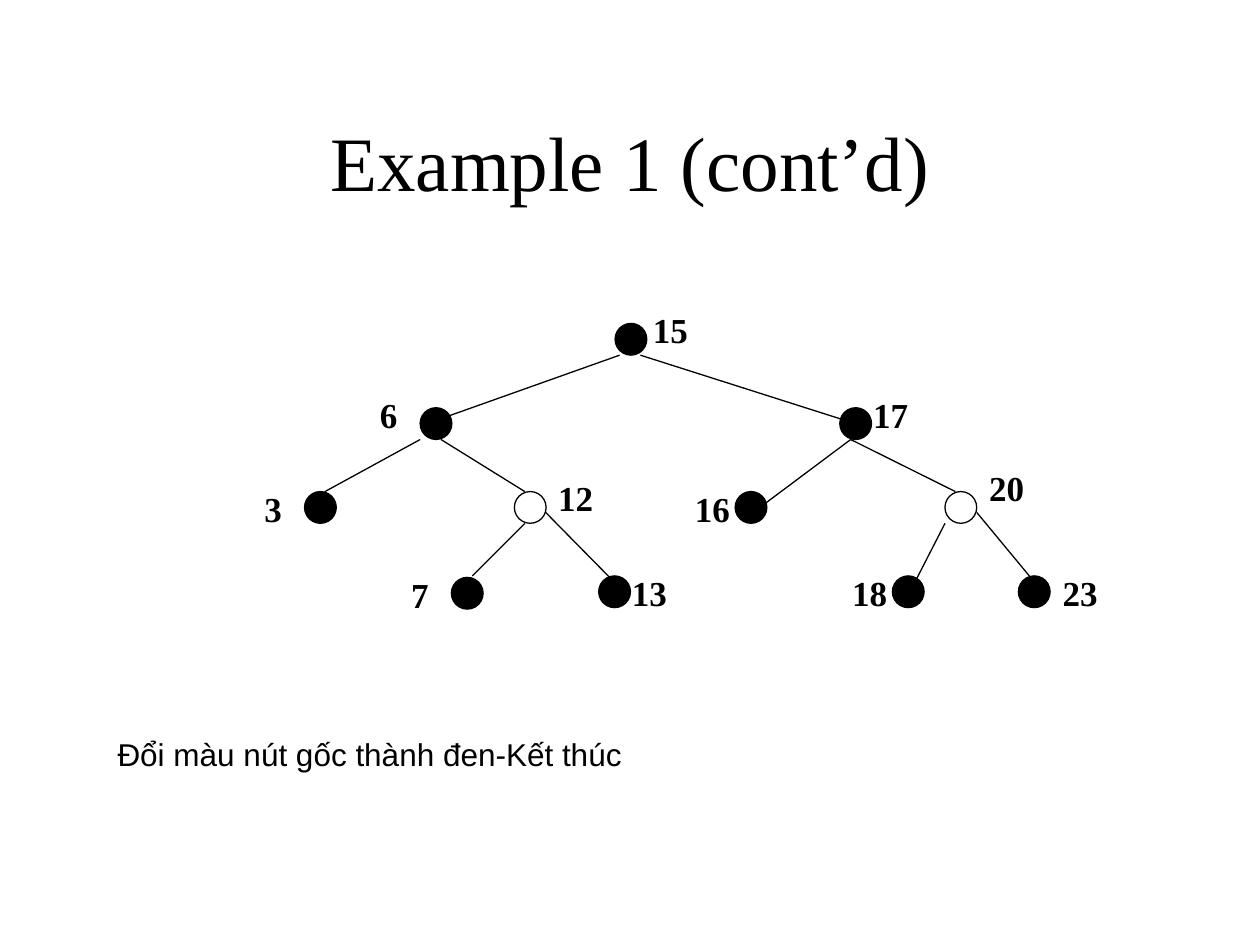
from pptx import Presentation
from pptx.dml.color import RGBColor
from pptx.enum.shapes import MSO_CONNECTOR, MSO_SHAPE
from pptx.enum.text import MSO_ANCHOR, PP_ALIGN
from pptx.oxml.ns import qn
from pptx.util import Cm, Pt
from lxml import etree


def rgb(value):
    return RGBColor.from_string(value)


def write(tf, text, font, size, bold=False):
    tf.text = text
    r = tf.paragraphs[0].runs[0]
    r.font.name, r.font.size, r.font.bold = font, Pt(size), bold
    r.font.color.rgb = rgb("000000")


prs = Presentation()
prs.slide_width, prs.slide_height = Cm(25.4), Cm(19.05)
s = prs.slides.add_slide(prs.slide_layouts[5])

# Title
title = s.shapes.title
title.left, title.top, title.width, title.height = Cm(1.9), Cm(1.65), Cm(21.6), Cm(3.18)
write(title.text_frame, "Example 1 (cont’d)", "Times New Roman", 44)
title.text_frame.vertical_anchor = MSO_ANCHOR.MIDDLE
title.text_frame.paragraphs[0].alignment = PP_ALIGN.CENTER

# Tree nodes: key, fill, node left and top, label left and top (cm)
nodes = [
    ("15", "000000", 12.4, 6.52, 12.91, 6.1),
    ("6", "000000", 8.47, 8.22, 7.41, 7.8),
    ("17", "000000", 16.93, 8.22, 17.35, 7.8),
    ("3", "000000", 6.14, 9.91, 5.08, 9.7),
    ("12", None, 10.37, 9.91, 11, 9.49),
    ("16", "000000", 14.82, 9.91, 13.76, 9.7),
    ("20", "FFFFFF", 19.05, 9.91, 19.69, 9.27),
    ("7", "000000", 9.1, 11.64, 8.04, 11.43),
    ("13", "000000", 12.07, 11.61, 12.49, 11.4),
    ("18", "000000", 17.99, 11.61, 16.93, 11.4),
    ("23", "000000", 20.53, 11.61, 21.17, 11.4),
]
for key, fill, x, y, label_x, label_y in nodes:
    sp = s.shapes.add_shape(MSO_SHAPE.OVAL, Cm(x), Cm(y), Cm(0.64), Cm(0.64))
    sp.shadow.inherit = False
    if fill:
        sp.fill.solid()
        sp.fill.fore_color.rgb = rgb(fill)
    else:
        sp.fill.background()
    sp.line.color.rgb = rgb("000000")
    sp.line.width = Pt(0.75)

    label = s.shapes.add_textbox(Cm(label_x), Cm(label_y), Cm(1.27), Cm(1.11))
    label.text_frame.word_wrap = True
    write(label.text_frame, key, "Times New Roman", 20, True)

# Edges from parent to child (cm)
edges = [
    (12.49, 7.16, 8.89, 8.44),    # 15 - 6
    (12.91, 7.16, 16.93, 8.44),   # 15 - 17
    (8.47, 8.86, 6.55, 9.91),     # 6 - 3
    (8.89, 8.86, 10.58, 9.91),    # 6 - 12
    (17.15, 8.86, 15.45, 10.13),  # 17 - 16
    (17.15, 8.86, 19.26, 9.91),   # 17 - 20
    (10.58, 10.55, 9.52, 11.61),  # 12 - 7
    (11, 10.33, 12.28, 11.63),    # 12 - 13
    (19.05, 10.55, 18.41, 11.8),  # 20 - 18
    (19.69, 10.33, 20.75, 11.61),  # 20 - 23
]
for edge in edges:
    line = s.shapes.add_connector(MSO_CONNECTOR.STRAIGHT, *[Cm(v) for v in edge])
    line.line.color.rgb = rgb("000000")
    line.line.width = Pt(0.75)
    etree.SubElement(line._element.spPr, qn("a:effectLst"))

# Closing remark
remark = s.shapes.add_textbox(Cm(2.12), Cm(14.7), Cm(20.95), Cm(1.02))
remark.text_frame.word_wrap = True
write(remark.text_frame, "Đổi màu nút gốc thành đen-Kết thúc", "Arial", 18)

prs.save("out.pptx")
